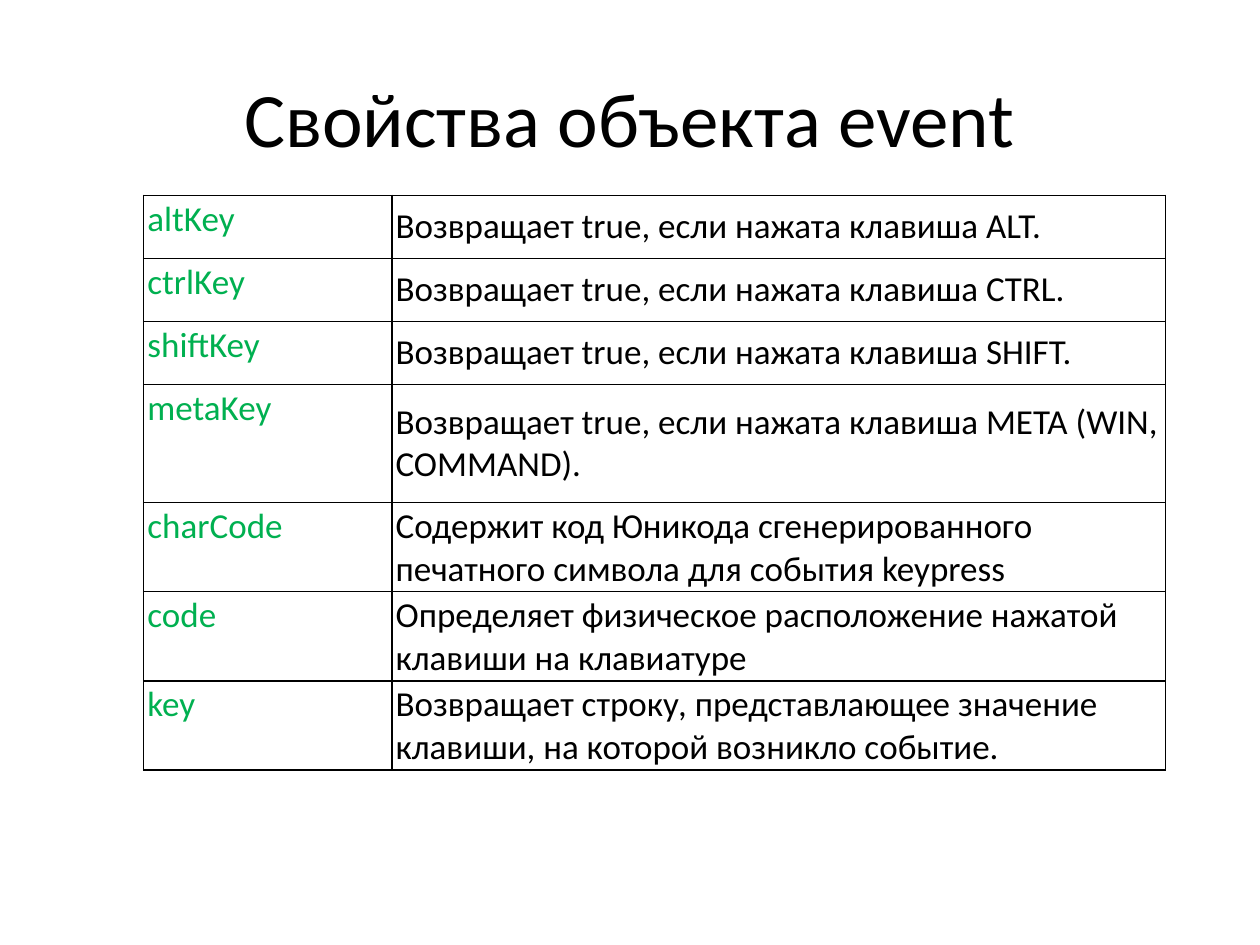
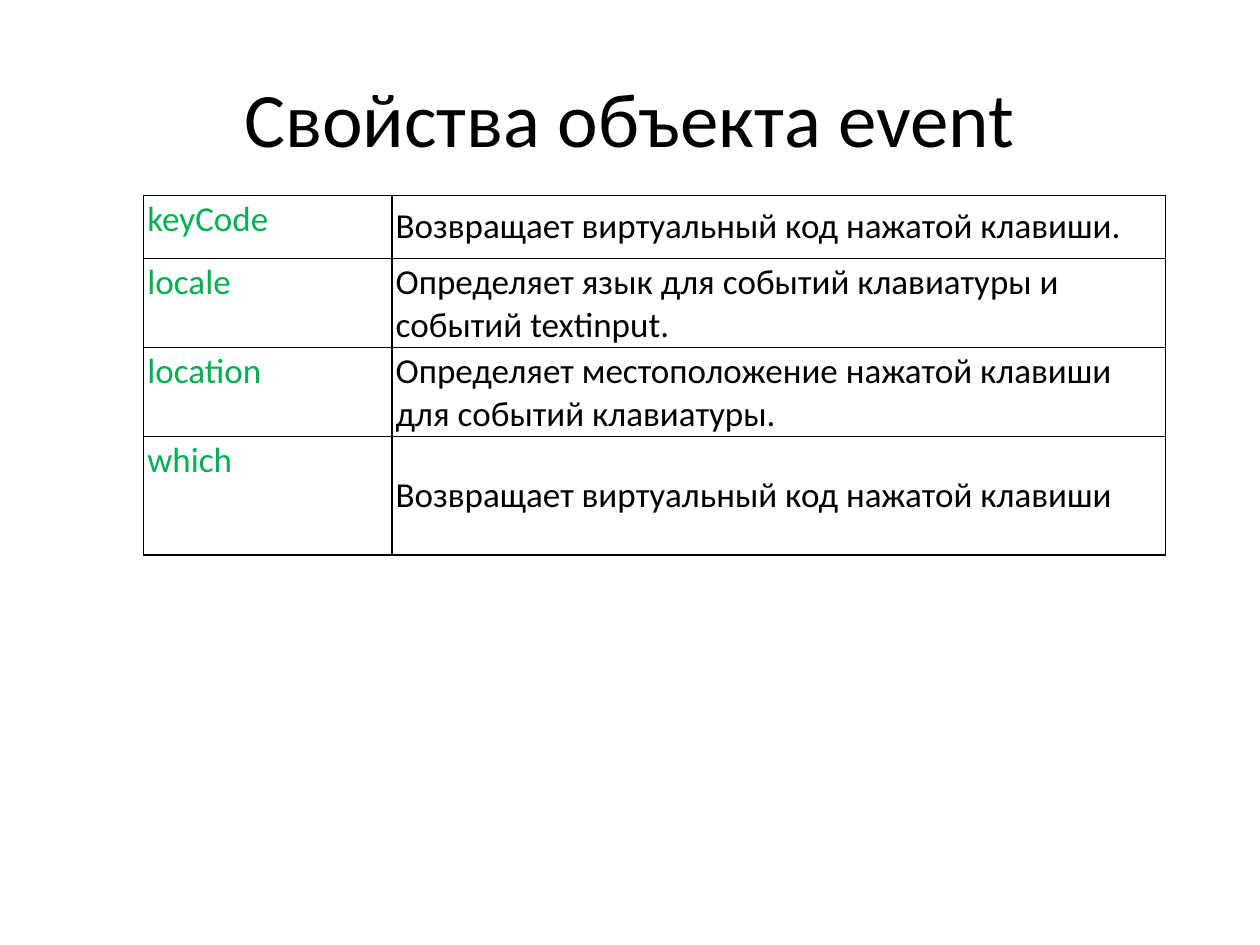
import pptx
import pptx.dml.color
import pptx.enum.text
import pptx.oxml
import pptx.oxml.ns
import pptx.util
from pptx.util import Inches

FONT = "Calibri"
BLACK = "000000"
GREEN = "00B050"
TITLE = "Свойства объекта event"
TITLE_BOX = (0.5, 0.3, 9, 1.25)
TABLE_ORIGIN = (1.14, 1.55)
COLUMN_WIDTHS = (1.97, 6.14)
ROW_HEIGHT = 0.5
TALL_ROW = 0.94
BORDER_POINTS = 1

TOP = pptx.enum.text.MSO_ANCHOR.TOP
MIDDLE = pptx.enum.text.MSO_ANCHOR.MIDDLE
LEFT = pptx.enum.text.PP_ALIGN.LEFT
CENTER = pptx.enum.text.PP_ALIGN.CENTER

# Each row: property name, description, row height
KEY_PROPERTIES = [
    ("altKey", "Возвращает true, если нажата клавиша ALT.", ROW_HEIGHT),
    ("ctrlKey", "Возвращает true, если нажата клавиша CTRL.", ROW_HEIGHT),
    ("shiftKey", "Возвращает true, если нажата клавиша SHIFT.", ROW_HEIGHT),
    ("metaKey", "Возвращает true, если нажата клавиша META (WIN, COMMAND).", TALL_ROW),
    ("charCode", "Содержит код Юникода сгенерированного печатного символа "
                 "для события keypress", ROW_HEIGHT),
    ("code", "Определяет физическое расположение нажатой клавиши на клавиатуре", 0.67),
    ("key", "Возвращает строку, представлающее значение клавиши, "
            "на которой возникло событие.", ROW_HEIGHT),
]
CODE_PROPERTIES = [
    ("keyCode", "Возвращает виртуальный код нажатой клавиши.", ROW_HEIGHT),
    ("locale", "Определяет язык для событий клавиатуры и событий textinput.", ROW_HEIGHT),
    ("location", "Определяет местоположение нажатой клавиши для событий клавиатуры.",
     ROW_HEIGHT),
    ("which", "Возвращает виртуальный код нажатой клавиши", TALL_ROW),
]


def rgb(value):
    return pptx.dml.color.RGBColor.from_string(value)


def write_text(text_frame, text, size=20, color=BLACK, align=LEFT):
    paragraph = text_frame.paragraphs[0]
    paragraph.alignment = align
    run = paragraph.add_run()
    run.text = text
    run.font.name = FONT
    run.font.size = pptx.util.Pt(size)
    run.font.color.rgb = rgb(color)


def add_title(slide, box):
    text_frame = slide.shapes.add_textbox(*map(Inches, box)).text_frame
    text_frame.word_wrap = True
    text_frame.vertical_anchor = MIDDLE
    write_text(text_frame, TITLE, size=44, align=CENTER)


def add_borders(cell):
    """Draw all four cell edges; they must precede the fill in tcPr."""
    properties = cell._tc.get_or_add_tcPr()
    for position, edge in enumerate(("lnL", "lnR", "lnT", "lnB")):
        line = pptx.oxml.parse_xml(
            f'<a:{edge} {pptx.oxml.ns.nsdecls("a")} w="{pptx.util.Pt(BORDER_POINTS)}">'
            f'<a:solidFill><a:srgbClr val="{BLACK}"/></a:solidFill></a:{edge}>')
        properties.insert(position, line)


def format_cell(cell, text, color, anchor):
    cell.margin_left = cell.margin_right = Inches(0.03)
    cell.margin_top = cell.margin_bottom = Inches(0.02)
    cell.vertical_anchor = anchor
    cell.fill.background()
    write_text(cell.text_frame, text, color=color)
    add_borders(cell)


def add_property_table(slide, origin, properties):
    size = (sum(COLUMN_WIDTHS), sum(height for _, _, height in properties))
    table = slide.shapes.add_table(
        len(properties), len(COLUMN_WIDTHS), *map(Inches, origin + size)).table
    table.first_row = table.horz_banding = False
    for column, width in zip(table.columns, COLUMN_WIDTHS):
        column.width = Inches(width)
    for row, (name, description, height) in zip(table.rows, properties):
        row.height = Inches(height)
        name_cell, description_cell = row.cells
        format_cell(name_cell, name, GREEN, TOP)
        format_cell(description_cell, description, BLACK, MIDDLE)


def add_property_slide(presentation, properties):
    slide = presentation.slides.add_slide(presentation.slide_layouts[6])
    add_title(slide, TITLE_BOX)
    add_property_table(slide, TABLE_ORIGIN, properties)


def main():
    presentation = pptx.Presentation()
    presentation.slide_width = Inches(10)
    presentation.slide_height = Inches(7.5)
    for properties in (KEY_PROPERTIES, CODE_PROPERTIES):
        add_property_slide(presentation, properties)
    presentation.save("out.pptx")


if __name__ == "__main__":
    main()
